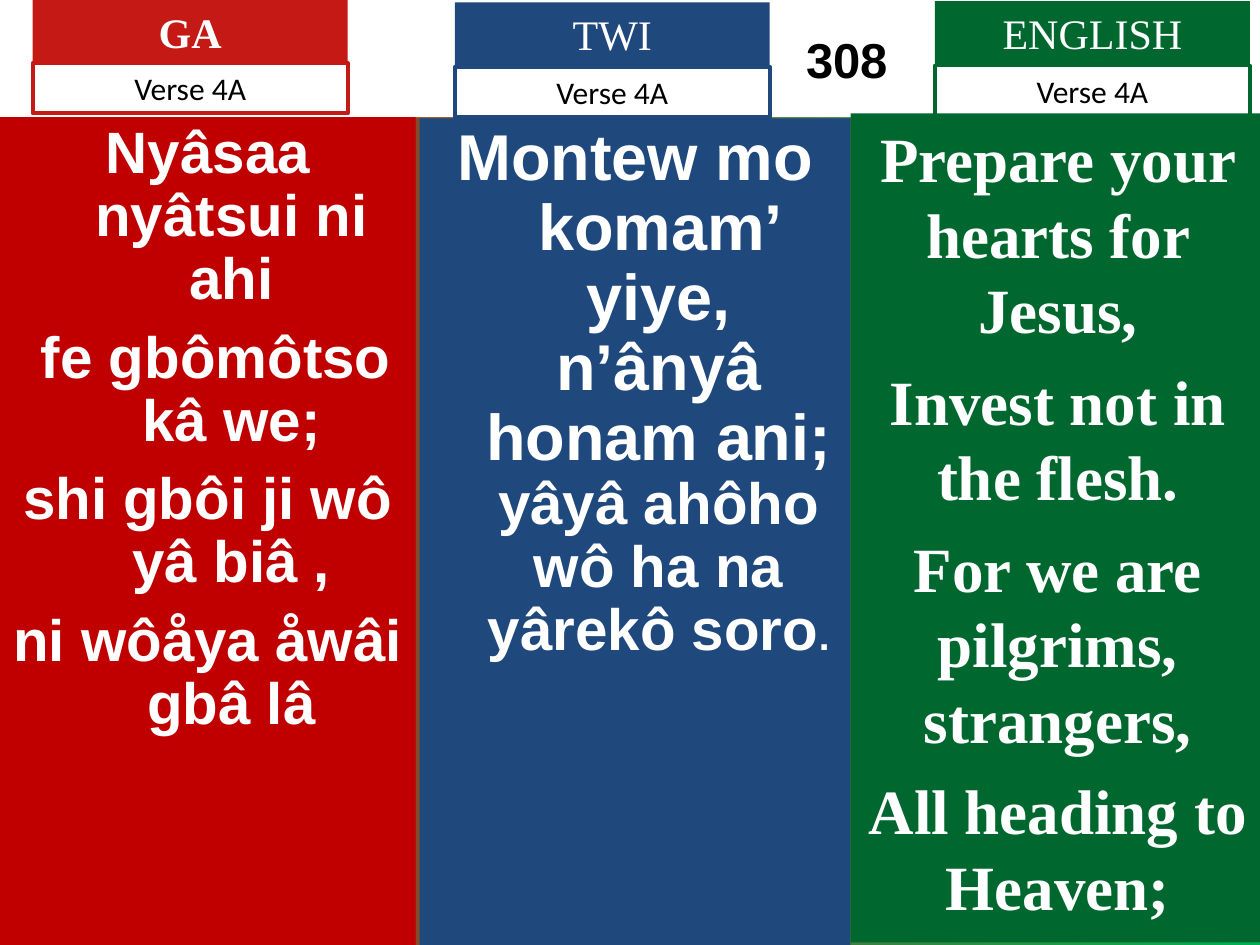
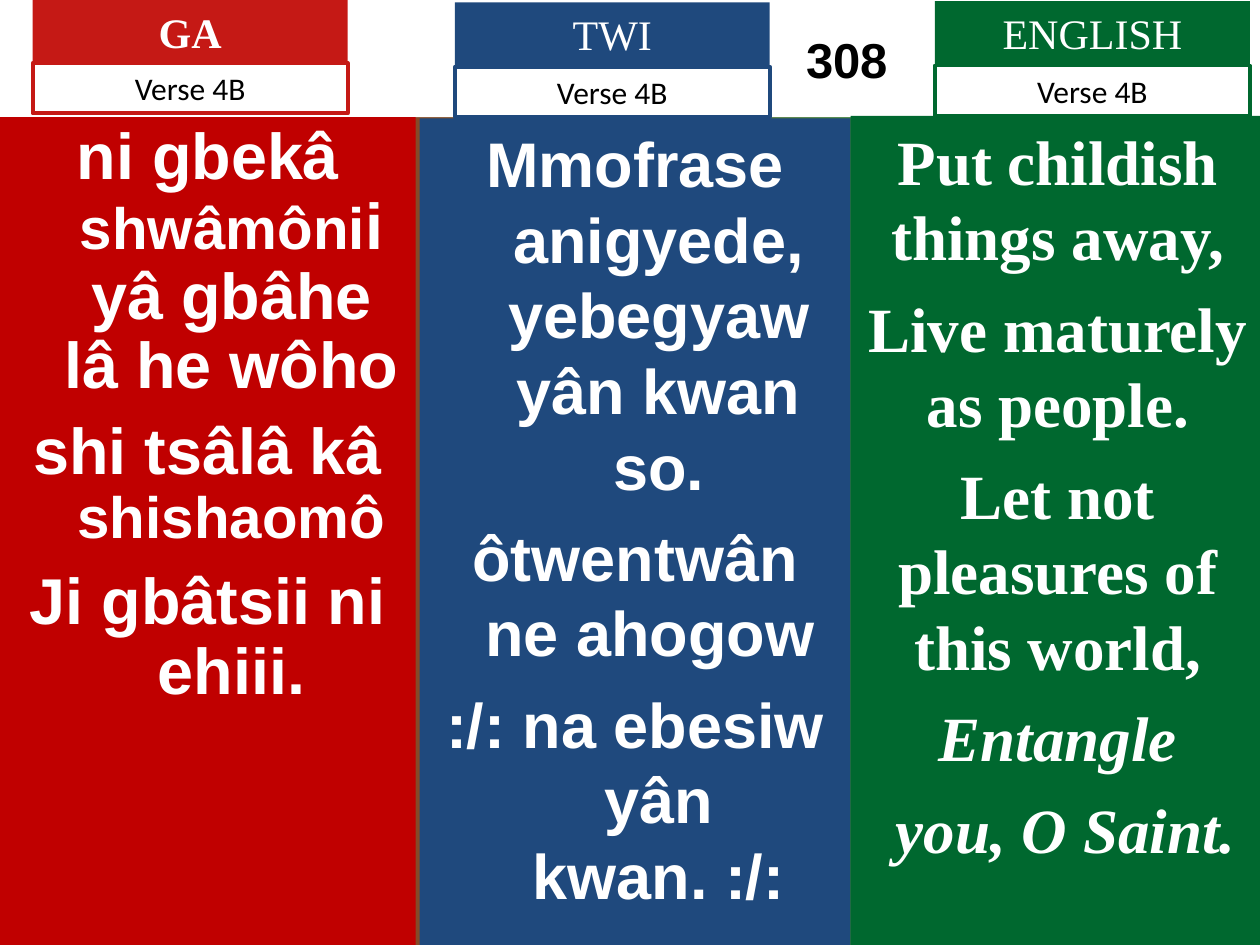
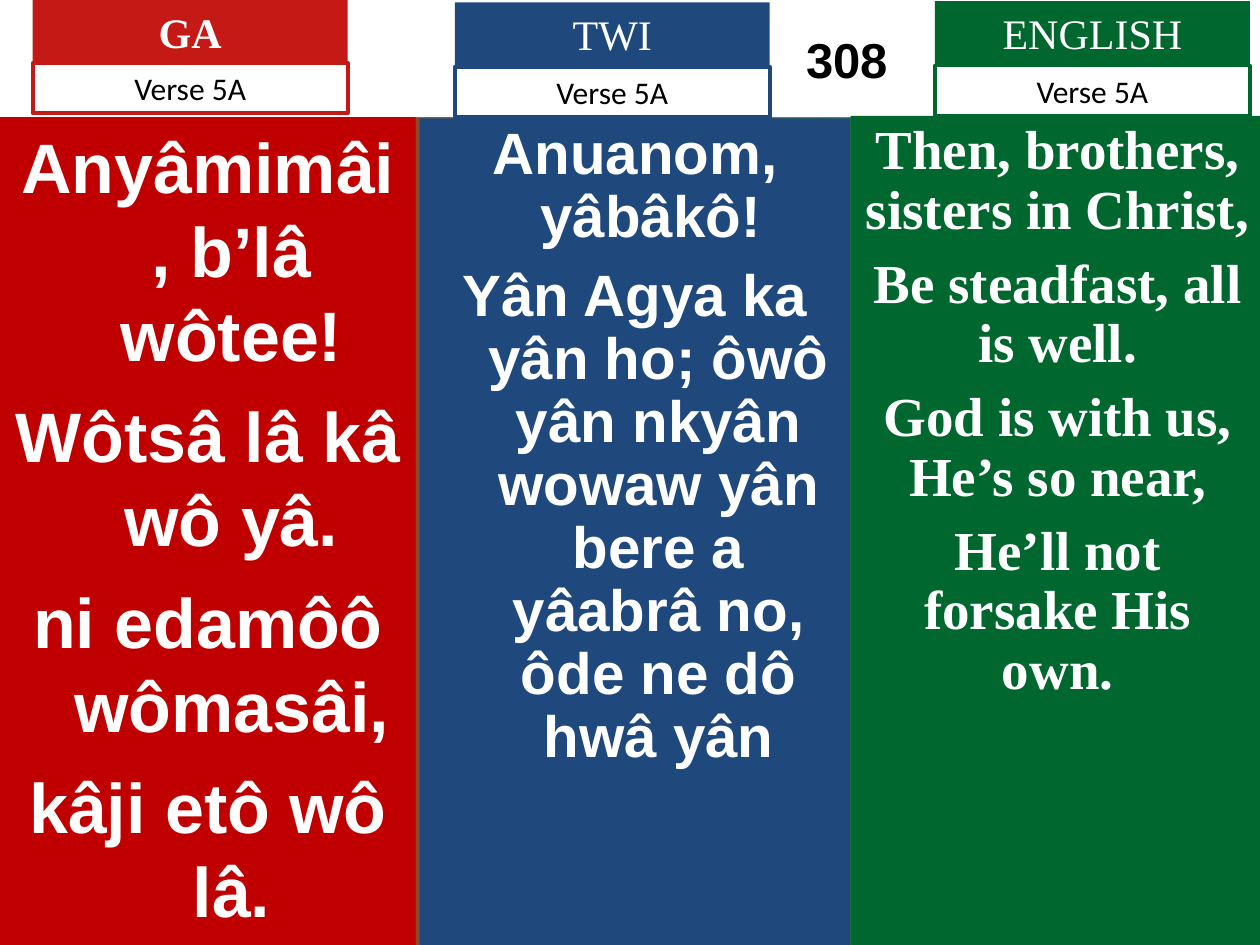
"""Build three hymn slides with Ga, Twi and English columns."""
import dataclasses
import pptx
import pptx.dml.color
import pptx.enum.shapes
import pptx.enum.text
import pptx.util

Pt = pptx.util.Pt
Align = pptx.enum.text.PP_ALIGN
Anchor = pptx.enum.text.MSO_ANCHOR
AutoSize = pptx.enum.text.MSO_AUTO_SIZE


@dataclasses.dataclass(frozen=True)
class Theme:
    white: str = "FFFFFF"
    black: str = "000000"
    background: tuple = ("C51915", "00B050")
    sans: str = "Arial"
    serif: str = "Times New Roman"
    label_font: str = "Calibri"
    number_size: float = 28
    header_size: float = 24
    label_size: float = 18
    lyric_sizes: tuple = (22.2, 31.4, 33.3, 36, 37, 40)
    border: float = 2.25
    hanging: float = 27


THEME = Theme()
TINY, SMALL, MEDIUM, LARGE, BIG, HUGE = THEME.lyric_sizes


@dataclasses.dataclass(frozen=True)
class Language:
    name: str
    column_color: str
    header_color: str
    column: tuple
    header: tuple
    label_top: float
    font: str
    hanging: bool = True
    bold_header: bool = False


@dataclasses.dataclass(frozen=True)
class Line:
    pieces: tuple
    gap: float = 9
    italic: bool = False


@dataclasses.dataclass(frozen=True)
class Stanza:
    size: float
    lines: list
    spacing: float = 1.0
    gap: float = 9
    top: float = None


HEADER_WIDTH, HEADER_HEIGHT, LABEL_HEIGHT = 180, 36, 28.8
GA = Language("GA", "C00000", "C51915", (0, 66.96, 237.6, 473.04), (18.72, 0), 36, THEME.sans, bold_header=True)
TWI = Language("TWI", "1F497D", "1F497D", (239.76, 67.68, 246.24, 472.32), (259.92, 1.44), 38.16, THEME.sans)
ENGLISH = Language("ENGLISH", "00682F", "00682F", (486, 66.24, 236.88, 473.76), (534.24, 0.72), 37.44,
                   THEME.serif, hanging=False)

HYMN_NUMBER = "308"
VERSES = [
    ("Verse 4A", [
        (GA, Stanza(MEDIUM, ["Nyâsaa nyâtsui ni ahi", " fe gbômôtso kâ we;", "shi gbôi ji wô yâ biâ ,",
                             "ni wôåya åwâi gbâ lâ"], 0.9)),
        (TWI, Stanza(BIG, [Line((("Montew mo komam’ yiye, n’ânyâ honam ani; ", BIG),
                                 ("yâyâ ahôho wô ha na yârekô soro", MEDIUM), (".", TINY)))], 0.9)),
        (ENGLISH, Stanza(LARGE, ["Prepare your hearts for Jesus,", "Invest not in the flesh.",
                                 "For we are pilgrims, strangers,", "All heading to Heaven;"], top=64.8)),
    ]),
    ("Verse 4B", [
        (GA, Stanza(BIG, [Line((("ni gbekâ ", BIG), ("shwâmôni", MEDIUM), ("i yâ gbâhe lâ he wôho", BIG))),
                          Line((("shi tsâlâ kâ ", BIG), ("shishaomô", MEDIUM))),
                          "Ji gbâtsii ni ehiii."], 0.9, gap=10)),
        (TWI, Stanza(LARGE, ["Mmofrase anigyede, yebegyaw yân kwan so.", "ôtwentwân ne ahogow ",
                             ":/: na ebesiw yân kwan. :/:"])),
        (ENGLISH, Stanza(LARGE, ["Put childish things away,", "Live maturely as people.",
                                 "Let not pleasures of this world,",
                                 Line((("Entangle", LARGE),), italic=True),
                                 Line(((" you, O Saint.", LARGE),), italic=True)])),
    ]),
    ("Verse 5A", [
        (GA, Stanza(HUGE, ["Anyâmimâi, b’lâ wôtee!", "Wôtsâ lâ kâ wô yâ.", "ni edamôô wômasâi,",
                           "kâji etô wô lâ."], gap=10)),
        (TWI, Stanza(MEDIUM, ["Anuanom, yâbâkô! ",
                              "Yân Agya ka yân ho; ôwô yân nkyân wowaw yân bere a yâabrâ no, ôde ne dô hwâ yân"],
                     0.9)),
        (ENGLISH, Stanza(SMALL, ["Then, brothers, sisters in Christ,", "Be steadfast, all is well.",
                                 "God is with us, He’s so near,", "He’ll not forsake His own."], 0.9, gap=8.5)),
    ]),
]


def rgb(color):
    return pptx.dml.color.RGBColor.from_string(color)


class HymnDeck:
    def __init__(self, theme):
        self.theme = theme
        self.presentation = pptx.Presentation()
        self.presentation.slide_width = Pt(720)
        self.presentation.slide_height = Pt(540)
        self.slide = None
        fill = self.presentation.slide_master.background.fill
        fill.gradient()
        fill.gradient_angle = 0
        for stop, color in zip(fill.gradient_stops, theme.background):
            stop.color.rgb = rgb(color)

    def add_slide(self):
        self.slide = self.presentation.slides.add_slide(self.presentation.slide_layouts[5])

    def style(self, paragraph, font, size, color, bold=False, italic=False):
        paragraph.alignment = Align.CENTER
        paragraph.font.name = font
        paragraph.font.size = Pt(size)
        paragraph.font.color.rgb = rgb(color)
        paragraph.font.bold = bold
        paragraph.font.italic = italic

    def title(self, text):
        shape = self.slide.shapes.title
        shape.left, shape.top, shape.width, shape.height = Pt(0), Pt(0), Pt(720), Pt(66.96)
        shape.fill.solid()
        shape.fill.fore_color.rgb = rgb(self.theme.white)
        frame = shape.text_frame
        frame.text = text
        frame.auto_size = AutoSize.NONE
        frame.vertical_anchor = Anchor.MIDDLE
        frame.margin_left, frame.margin_right = Pt(248), Pt(0)
        self.style(frame.paragraphs[0], self.theme.sans, self.theme.number_size, self.theme.black, bold=True)

    def box(self, left, top, width, height, fill=None, line=None):
        shape = self.slide.shapes.add_shape(pptx.enum.shapes.MSO_SHAPE.RECTANGLE,
                                            Pt(left), Pt(top), Pt(width), Pt(height))
        shape.shadow.inherit = False
        if fill:
            shape.fill.solid()
            shape.fill.fore_color.rgb = rgb(fill)
        else:
            shape.fill.background()
        if line:
            shape.line.color.rgb = rgb(line)
            shape.line.width = Pt(self.theme.border)
        else:
            shape.line.fill.background()
        frame = shape.text_frame
        frame.word_wrap = True
        frame.vertical_anchor = Anchor.TOP
        frame.margin_left = frame.margin_right = Pt(7.2)
        frame.margin_top = frame.margin_bottom = Pt(3.6)
        return frame

    def header(self, language):
        frame = self.box(*language.header, HEADER_WIDTH, HEADER_HEIGHT, fill=language.header_color)
        frame.text = language.name
        frame.auto_size = AutoSize.SHAPE_TO_FIT_TEXT
        self.style(frame.paragraphs[0], self.theme.serif, self.theme.header_size, self.theme.white,
                   bold=language.bold_header)

    def verse_label(self, language, text):
        frame = self.box(language.header[0], language.label_top, HEADER_WIDTH, LABEL_HEIGHT,
                         line=language.header_color)
        frame.text = text
        frame.auto_size = AutoSize.SHAPE_TO_FIT_TEXT
        self.style(frame.paragraphs[0], self.theme.label_font, self.theme.label_size, self.theme.black)

    def lyrics(self, language, stanza):
        left, top, width, height = language.column
        frame = self.box(left, stanza.top or top, width, height, fill=language.column_color)
        for index, line in enumerate(stanza.lines):
            if isinstance(line, str):
                line = Line(((line, stanza.size),), stanza.gap)
            paragraph = frame.paragraphs[0] if index == 0 else frame.add_paragraph()
            if language.hanging:
                properties = paragraph._p.get_or_add_pPr()
                properties.set("marL", str(Pt(self.theme.hanging)))
                properties.set("indent", str(-Pt(self.theme.hanging)))
            paragraph.line_spacing = stanza.spacing
            paragraph.space_before = Pt(line.gap if index else 0)
            self.style(paragraph, language.font, line.pieces[0][1], self.theme.white, True, line.italic)
            for text, size in line.pieces:
                run = paragraph.add_run()
                run.text = text
                if len(line.pieces) > 1:
                    run.font.size = Pt(size)


def main():
    deck = HymnDeck(THEME)
    for verse, columns in VERSES:
        deck.add_slide()
        deck.title(HYMN_NUMBER)
        for language, stanza in columns:
            deck.lyrics(language, stanza)
            deck.header(language)
            deck.verse_label(language, verse)
    deck.presentation.save("out.pptx")


if __name__ == "__main__":
    main()
